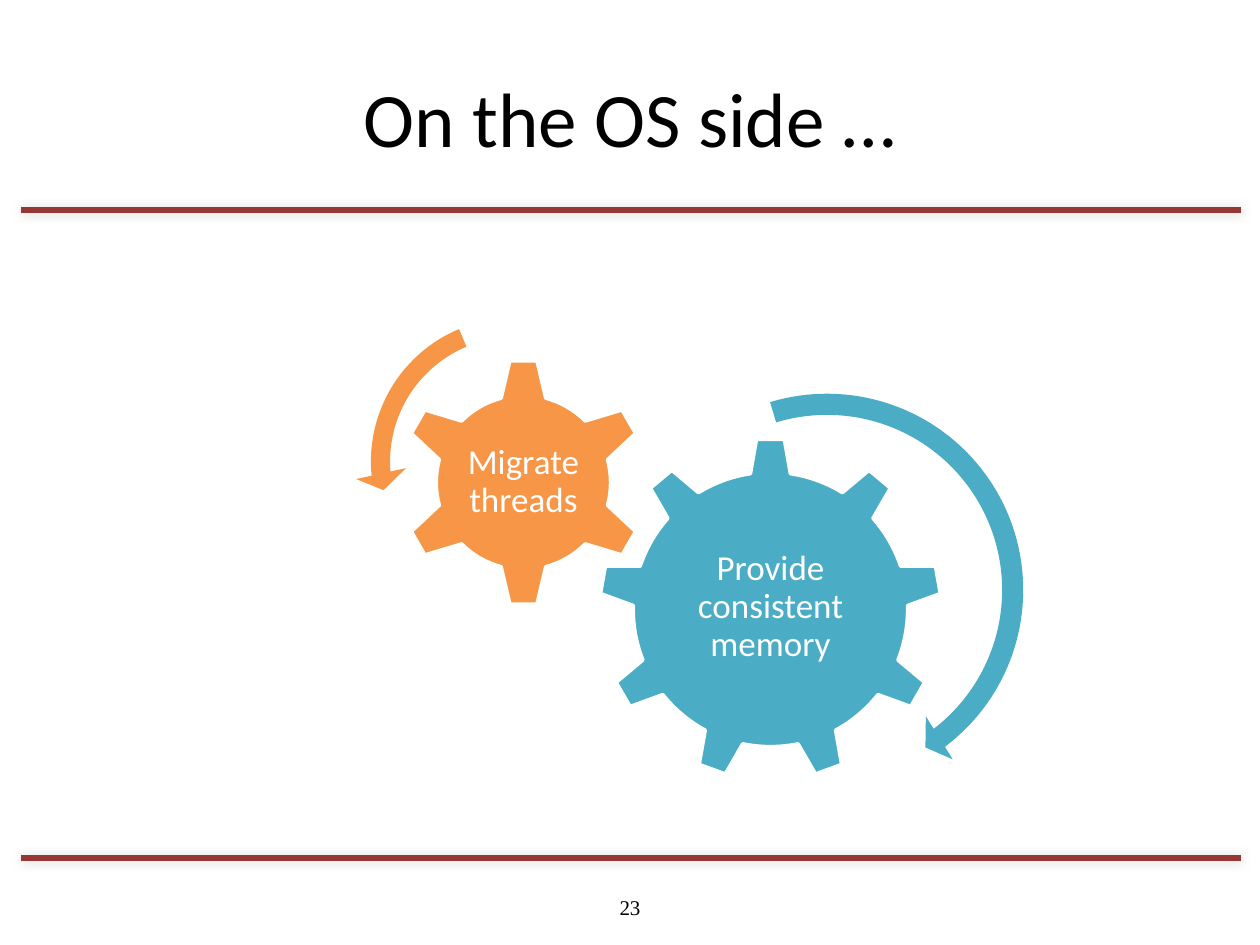
from lxml.etree import SubElement
from pptx import Presentation
from pptx.dml.color import RGBColor
from pptx.enum.shapes import MSO_CONNECTOR, MSO_SHAPE as Shape
from pptx.enum.text import MSO_ANCHOR, PP_ALIGN
from pptx.oxml.ns import qn
from pptx.util import Emu, Pt

EMU_PER_PX = 914400 / 126
BLACK, WHITE, RED = "000000", "FFFFFF", "953735"
TEAL, ORANGE = "4BACC6", "F79646"


def px(*lengths):
    return [Emu(round(length * EMU_PER_PX)) for length in lengths]


def color(value):
    return RGBColor.from_string(value)


class SlideBuilder:
    font = "Calibri"

    def __init__(self, deck):
        self.page = deck.slides.add_slide(deck.slide_layouts[5])
        self.shapes = self.page.shapes

    def fill_text(self, box, text, size, ink, font=None, inset=(12, 6), spacing=None):
        frame = box.text_frame
        frame.word_wrap = True
        frame.vertical_anchor = MSO_ANCHOR.MIDDLE
        frame.margin_left, frame.margin_top = px(*inset)
        frame.margin_right, frame.margin_bottom = px(*inset)
        para = frame.paragraphs[0]
        para.alignment = PP_ALIGN.CENTER
        if spacing:
            para.line_spacing = spacing
        span = para.add_run()
        span.text = text
        span.font.name = font or self.font
        span.font.size = Pt(size)
        span.font.color.rgb = color(ink)

    def title(self, text, left, top, width, height):
        box = self.shapes.title
        box.left, box.top, box.width, box.height = px(left, top, width, height)
        self.fill_text(box, text, 44, BLACK)

    def label(self, text, left, top, width, height, size, ink, **style):
        box = self.shapes.add_textbox(*px(left, top, width, height))
        self.fill_text(box, text, size, ink, **style)

    def rule(self, y):
        """Draw a full-width red line with a soft shadow."""
        line = self.shapes.add_connector(MSO_CONNECTOR.STRAIGHT, *px(21, y, 1241, y))
        line.line.color.rgb = color(RED)
        line.line.width = Pt(3)
        effects = SubElement(line._element.spPr, qn("a:effectLst"))
        shadow = SubElement(effects, qn("a:outerShdw"), blurRad=str(Pt(6)),
                            dist="0", dir="13500000", rotWithShape="0")
        tint = SubElement(shadow, qn("a:srgbClr"), val=BLACK)
        SubElement(tint, qn("a:alpha"), val="20000")

    def solid(self, kind, left, top, size, fill):
        shape = self.shapes.add_shape(kind, *px(left, top, size, size))
        shape.shadow.inherit = False
        shape.fill.solid()
        shape.fill.fore_color.rgb = color(fill)
        return shape

    def gear(self, kind, left, top, size, fill, text, text_area):
        shape = self.solid(kind, left, top, size, fill)
        shape.line.color.rgb = color(WHITE)
        shape.line.width = Pt(2)
        self.label(text, *text_area, 20, WHITE, inset=(4, 4), spacing=0.9)

    def turn_arrow(self, kind, left, top, size, fill, adjustments):
        shape = self.solid(kind, left, top, size, fill)
        shape.line.fill.background()
        for index, value in enumerate(adjustments):
            shape.adjustments[index] = value


def main():
    deck = Presentation()
    deck.slide_width, deck.slide_height = px(1260, 945)
    slide = SlideBuilder(deck)

    for y in (858, 210):
        slide.rule(y)
    slide.label("23", 483, 882, 294, 50, 12, BLACK, font="Times New Roman")
    slide.title("On the OS side …", 63, 38, 1134, 158)

    slide.gear(Shape.GEAR_9, 599, 438, 343, TEAL,
               "Provide consistent memory", (668, 519, 205, 176))
    slide.gear(Shape.GEAR_6, 399, 358, 249, ORANGE,
               "Migrate threads", (462, 421, 123, 123))
    slide.turn_arrow(Shape.CIRCULAR_ARROW, 616, 379, 422, TEAL,
                     (0.05, 3.13, 31.67, 151.88, 0.06))
    slide.turn_arrow(Shape.LEFT_CIRCULAR_ARROW, 355, 302, 319, ORANGE,
                     (0.06, 4.3, 104.89, 148.38, 0.08))

    deck.save("out.pptx")


if __name__ == "__main__":
    main()
